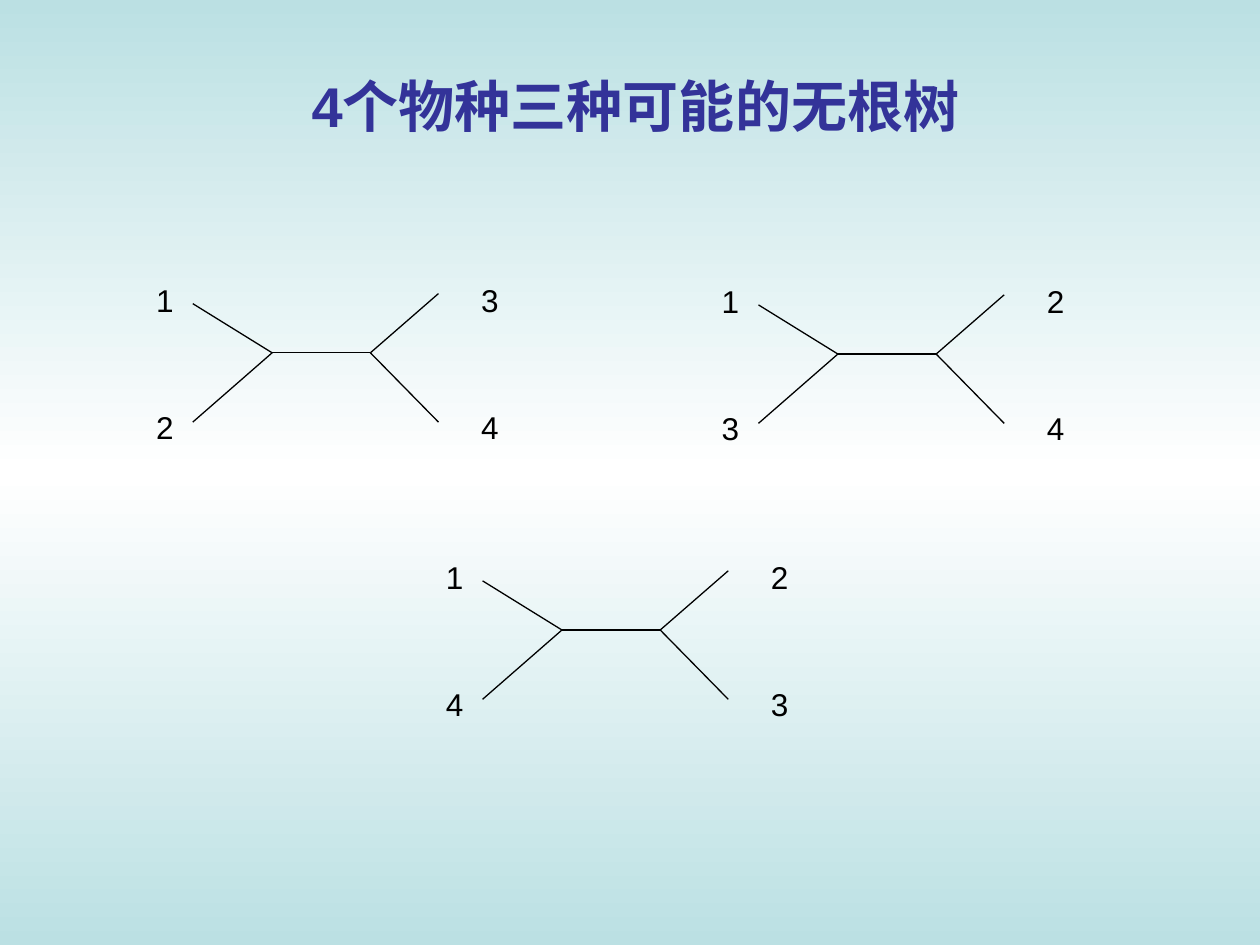
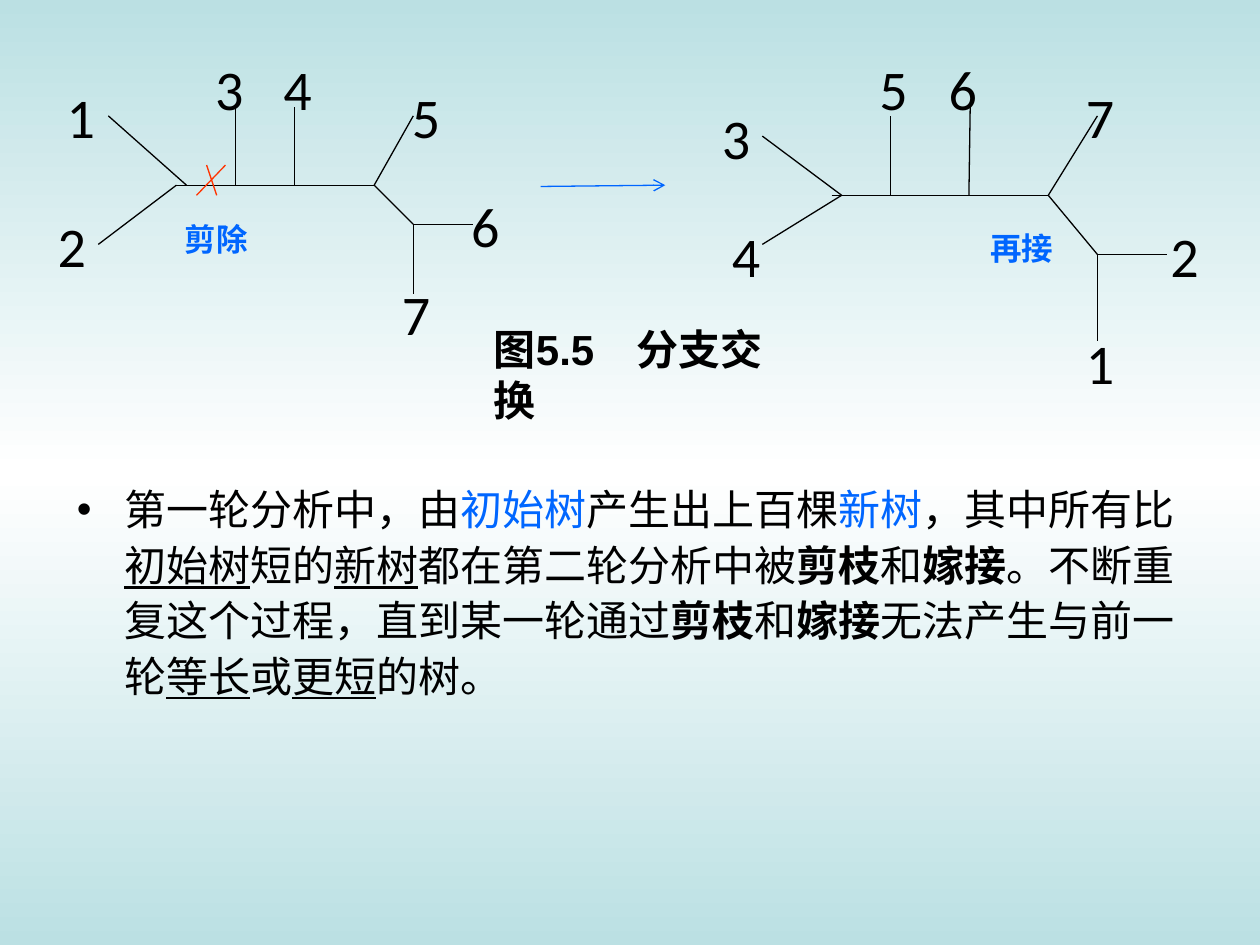
from copy import deepcopy

from lxml.etree import SubElement
from pptx import Presentation
from pptx.dml.color import RGBColor
from pptx.enum.shapes import MSO_CONNECTOR
from pptx.enum.text import MSO_ANCHOR, MSO_AUTO_SIZE, PP_ALIGN
from pptx.oxml.ns import qn
from pptx.util import Inches, Pt

WIDTH, HEIGHT = Inches(10), Inches(7.5)
COLUMNS, ROWS = 100, 75
COLOURS = {
    "edge": "BBE0E3",
    "middle": "FFFFFF",
    "title": "333399",
    "ink": "000000",
    "accent": "0066FF",
    "cut": "FF3300",
}
STYLES = {
    "title": {"name": "Arial", "size": Pt(32), "bold": True, "color": "title"},
    "caption": {"name": "Arial", "size": Pt(24), "bold": True, "color": "ink"},
    "body": {"name": "Arial", "size": Pt(24), "color": "ink"},
    "species": {"name": "Arial", "size": Pt(18), "color": "ink"},
    "leaf": {"name": "Calibri", "size": Pt(32), "color": "ink"},
    "action": {"name": "Arial", "size": Pt(18), "bold": True, "color": "accent"},
}
PLAIN, BLUE = {}, {"color": "accent"}
BOLD, UNDERLINED = {"bold": True}, {"underline": True}

QUARTET_BRANCHES = [
    ((3.9, 2.3), (10.2, 6.2)),
    ((10.2, 6.2), (3.9, 11.7)),
    ((10.2, 6.2), (18, 6.2)),
    ((18, 6.2), (23.4, 1.5)),
    ((18, 6.2), (23.4, 11.7)),
]
QUARTET_LABELS = [(0, 0), (0, 10.1), (25.8, 0), (25.8, 10.1)]
QUARTETS = [((11.4, 21.8), "1234"), ((56.3, 21.9), "1324"), ((34.4, 43.8), "1423")]

PRUNED_BRANCHES = [
    ((8.6, 9.2), (14.8, 14.7)),
    ((14, 14.7), (7.8, 19.4)),
    ((14, 14.7), (29.7, 14.7)),
    ((18.7, 8.5), (18.7, 14.7)),
    ((23.4, 8.5), (23.4, 14.7)),
    ((29.7, 14.7), (32.8, 9.2)),
    ((29.7, 14.7), (32.8, 17.8)),
    ((32.8, 17.8), (32.8, 23.3)),
    ((32.8, 17.8), (37.5, 17.8)),
]
PRUNED_LEAVES = {
    "1": (4.3, 6.1), "2": (3.6, 16.3), "3": (16.1, 3.8), "4": (21.5, 3.8),
    "5": (31.7, 6.1), "6": (36.4, 14.7), "7": (30.9, 21.7),
}
GRAFTED_BRANCHES = [
    ((60.5, 10.8), (66.8, 15.5)),
    ((66.8, 15.5), (60.5, 19.4)),
    ((66, 15.5), (83.2, 15.5)),
    ((70.7, 15.5), (70.7, 9.2)),
    ((76.9, 15.5), (77, 8.5)),
    ((83.2, 15.5), (87.1, 9.2)),
    ((83.2, 15.5), (87.1, 20.2)),
    ((87.1, 20.2), (87.1, 27.1)),
    ((87.1, 20.2), (92.6, 20.2)),
]
GRAFTED_LEAVES = {
    "3": (56.3, 7.7), "4": (57.1, 17.1), "5": (68.8, 3.8), "6": (74.3, 3.8),
    "7": (85.2, 6.1), "2": (91.9, 17.1), "1": (85.2, 25.6),
}
CUT_MARK = [((16.4, 13.1), (17.2, 15.5)), ((17.9, 13.1), (15.6, 15.5))]

ANALYSIS = [
    ("第一轮分析中，由", PLAIN), ("初始树", BLUE), ("产生出上百棵", PLAIN),
    ("新树", BLUE), ("，其中所有比", PLAIN), ("初始树", UNDERLINED),
    ("短的", PLAIN), ("新树", UNDERLINED), ("都在第二轮分析中被", PLAIN),
    ("剪枝", BOLD), ("和", PLAIN), ("嫁接", BOLD),
    ("。不断重复这个过程，直到某一轮通过", PLAIN), ("剪枝", BOLD),
    ("和", PLAIN), ("嫁接", BOLD), ("无法产生与前一轮", PLAIN),
    ("等长", UNDERLINED), ("或", PLAIN), ("更短", UNDERLINED), ("的树。", PLAIN),
]


def col(count):
    return round(WIDTH * count / COLUMNS)


def row(count):
    return round(HEIGHT * count / ROWS)


def shift(point, origin):
    return point[0] + origin[0], point[1] + origin[1]


def rgb(colour):
    return RGBColor.from_string(COLOURS[colour])


def set_attributes(target, values):
    for attribute, value in values.items():
        if attribute == "color":
            target.color.rgb = rgb(value)
        else:
            setattr(target, attribute, value)


def paint_background(master):
    fill = master.background.fill
    fill.gradient()
    fill.gradient_angle = 90
    stops = master.element.find(".//" + qn("a:gsLst"))
    stops.insert(1, deepcopy(stops[0]))
    for stop, position, colour in zip(
        fill.gradient_stops, (0, 0.5, 1), ("edge", "middle", "edge")
    ):
        stop.position = position
        stop.color.rgb = rgb(colour)


def place(holder, left, top, width, height, **frame_format):
    set_attributes(holder, {
        "left": col(left), "top": row(top), "width": col(width), "height": row(height),
    })
    set_attributes(holder.text_frame, frame_format)
    return holder.text_frame.paragraphs[0]


def write(paragraph, text, style, align=PP_ALIGN.LEFT):
    paragraph.alignment = align
    run = paragraph.add_run()
    run.text = text
    set_attributes(run.font, STYLES[style])


def add_label(slide, text, corner, size, style, wrap=False, align=PP_ALIGN.LEFT):
    box = slide.shapes.add_textbox(0, 0, 0, 0)
    paragraph = place(
        box, *corner, *size, word_wrap=wrap, auto_size=MSO_AUTO_SIZE.SHAPE_TO_FIT_TEXT
    )
    write(paragraph, text, style, align)


def add_branch(slide, start, end, colour="ink", arrow=False):
    branch = slide.shapes.add_connector(
        MSO_CONNECTOR.STRAIGHT, col(start[0]), row(start[1]), col(end[0]), row(end[1])
    )
    set_attributes(branch.line, {"color": colour, "width": Pt(0.75)})
    properties = branch.element.spPr
    if arrow:
        SubElement(properties.find(qn("a:ln")), qn("a:tailEnd"), type="arrow")
    SubElement(properties, qn("a:effectLst"))


def add_quartet(slide, origin, species):
    for start, end in QUARTET_BRANCHES:
        add_branch(slide, shift(start, origin), shift(end, origin))
    for name, offset in zip(species, QUARTET_LABELS):
        add_label(slide, name, shift(offset, origin), (2.3, 4), "species",
                  wrap=True, align=PP_ALIGN.CENTER)


def add_tree(slide, branches, leaves):
    for start, end in branches:
        add_branch(slide, start, end)
    for name, corner in leaves.items():
        add_label(slide, name, corner, (4.2, 6.4), "leaf")


def build_unrooted_trees(deck):
    slide = deck.slides.add_slide(deck.slide_layouts[5])
    heading = place(slide.shapes.title, 9.8, 5.2, 81.3, 6.4,
                    vertical_anchor=MSO_ANCHOR.TOP, auto_size=MSO_AUTO_SIZE.NONE)
    write(heading, "4个物种三种可能的无根树", "title", PP_ALIGN.CENTER)
    for origin, species in QUARTETS:
        add_quartet(slide, origin, species)


def build_branch_swapping(deck):
    slide = deck.slides.add_slide(deck.slide_layouts[1])
    caption = place(slide.shapes.title, 38.2, 25.2, 26.2, 9,
                    vertical_anchor=MSO_ANCHOR.MIDDLE, auto_size=MSO_AUTO_SIZE.NONE)
    write(caption, "图5.5　分支交换", "caption")
    add_tree(slide, GRAFTED_BRANCHES, GRAFTED_LEAVES)
    add_tree(slide, PRUNED_BRANCHES, PRUNED_LEAVES)
    add_branch(slide, (42.9, 14.8), (52.8, 14.7), "accent", arrow=True)
    for start, end in CUT_MARK:
        add_branch(slide, start, end, "cut")
    add_label(slide, "剪除", (13.7, 17), (7, 4), "action")
    add_label(slide, "再接", (77.6, 17.7), (9.9, 4), "action", wrap=True)
    analysis = place(slide.placeholders[1], 5.1, 37.5, 89.2, 31.7,
                     auto_size=MSO_AUTO_SIZE.NONE)
    set_attributes(analysis, {"line_spacing": 1.1, "space_before": Pt(0)})
    for text, emphasis in ANALYSIS:
        write(analysis, text, "body")
        set_attributes(analysis.runs[-1].font, emphasis)


def main():
    deck = Presentation()
    set_attributes(deck, {"slide_width": WIDTH, "slide_height": HEIGHT})
    paint_background(deck.slide_master)
    build_unrooted_trees(deck)
    build_branch_swapping(deck)
    deck.save("out.pptx")


if __name__ == "__main__":
    main()
